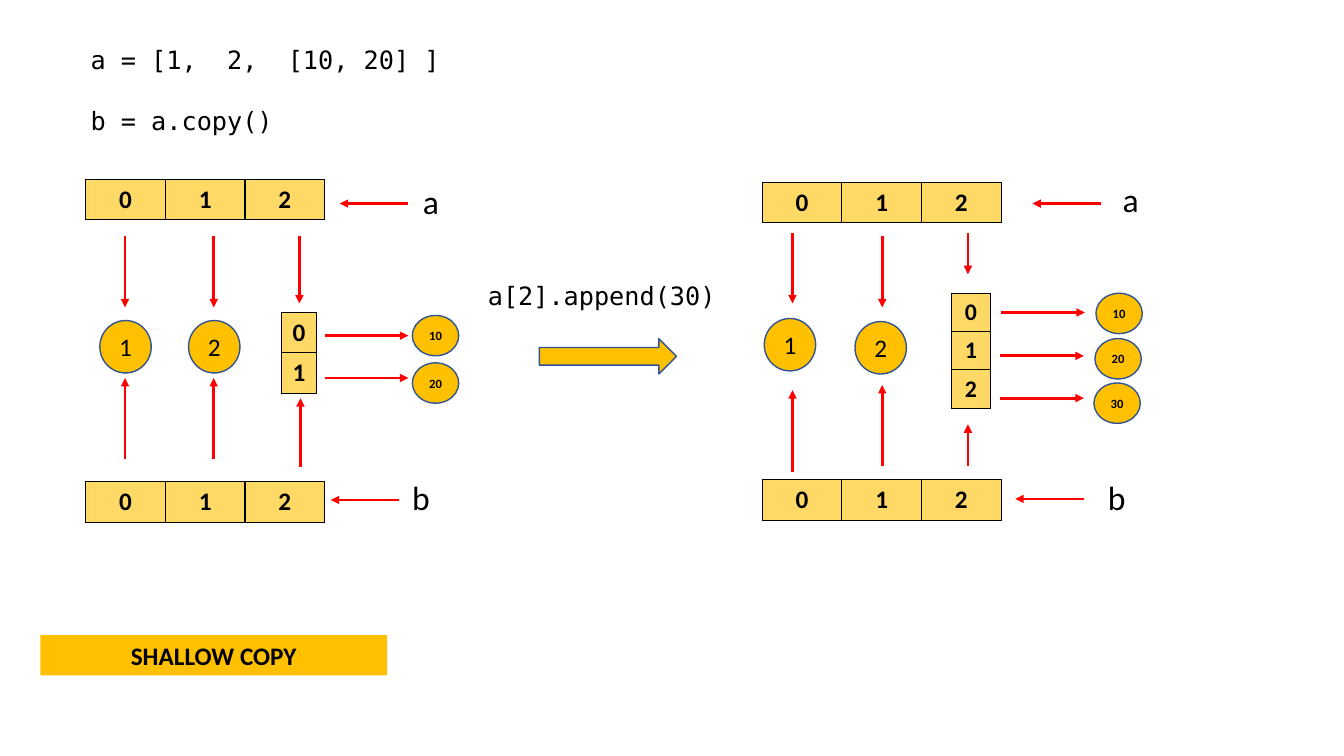
import lxml.etree
import pptx
import pptx.dml.color
import pptx.enum.shapes
import pptx.enum.text
import pptx.oxml.ns
import pptx.util

Inches = pptx.util.Inches
Pt = pptx.util.Pt
Shape = pptx.enum.shapes.MSO_SHAPE
Align = pptx.enum.text.PP_ALIGN
Anchor = pptx.enum.text.MSO_ANCHOR
qn = pptx.oxml.ns.qn

COLORS = {"text": "000000", "cell": "FFD966", "accent": "FFC000", "outline": "325491", "arrow": "FF0000"}


class CopyDiagram:
    """Draws lists, values and references on one slide in a shared style."""

    body_font = "Calibri"
    code_font = "DejaVu Sans Mono"

    def __init__(self, slide):
        self.slide = slide

    def color(self, name):
        return pptx.dml.color.RGBColor.from_string(COLORS[name])

    def fill_text(self, frame, lines, size, font=body_font, bold=False, align=Align.CENTER, gap=0):
        frame.text = "\n".join(lines)
        for index, paragraph in enumerate(frame.paragraphs):
            paragraph.alignment = align
            paragraph.space_before = Pt(gap if index else 0)
            paragraph.font.name = font
            paragraph.font.size = Pt(size)
            paragraph.font.bold = bold
            paragraph.font.color.rgb = self.color("text")

    def text(self, left, top, width, height, lines, size, **style):
        label = self.slide.shapes.add_textbox(Inches(left), Inches(top), Inches(width), Inches(height))
        label.text_frame.word_wrap = True
        self.fill_text(label.text_frame, lines, size, **style)

    def code(self, left, top, width, height, lines):
        self.text(left, top, width, height, lines, 18, font=self.code_font, align=Align.LEFT, gap=22)

    def shape(self, kind, left, top, width, height, caption="", size=18, bold=False, outlined=True):
        figure = self.slide.shapes.add_shape(kind, Inches(left), Inches(top), Inches(width), Inches(height))
        figure.shadow.inherit = False
        figure.fill.solid()
        figure.fill.fore_color.rgb = self.color("accent")
        if outlined:
            figure.line.color.rgb = self.color("outline")
            figure.line.width = Pt(1)
        else:
            figure.line.fill.background()
        if caption:
            frame = figure.text_frame
            frame.margin_left = frame.margin_right = 0
            frame.vertical_anchor = Anchor.MIDDLE
            self.fill_text(frame, [caption], size, bold=bold)

    def number(self, left, top, value):
        self.shape(Shape.OVAL, left, top, 0.51, 0.52, value)

    def nested_number(self, left, top, value):
        self.shape(Shape.OVAL, left, top, 0.46, 0.4, value, size=9, bold=True)

    def indices(self, left, top, rows, columns, cell_width, cell_height, size=18):
        grid = self.slide.shapes.add_table(
            rows, columns, Inches(left), Inches(top),
            Inches(cell_width * columns), Inches(cell_height * rows)).table
        grid.first_row = grid.horz_banding = False
        for column in grid.columns:
            column.width = Inches(cell_width)
        for row in grid.rows:
            row.height = Inches(cell_height)
        for index, cell in enumerate(grid.iter_cells()):
            cell.margin_left = cell.margin_right = Inches(0.05)
            cell.margin_top = cell.margin_bottom = Inches(0.04)
            cell.vertical_anchor = Anchor.MIDDLE
            cell.fill.solid()
            cell.fill.fore_color.rgb = self.color("cell")
            self.fill_text(cell.text_frame, [str(index)], size, bold=True)
            self.border(cell)

    def border(self, cell):
        properties = cell._tc.get_or_add_tcPr()
        for position, side in enumerate(("lnL", "lnR", "lnT", "lnB")):
            edge = lxml.etree.Element(qn("a:" + side), w=str(Pt(1)))
            fill = lxml.etree.SubElement(edge, qn("a:solidFill"))
            lxml.etree.SubElement(fill, qn("a:srgbClr"), val=COLORS["text"])
            properties.insert(position, edge)

    def arrow(self, x1, y1, x2, y2):
        reference = self.slide.shapes.add_connector(
            pptx.enum.shapes.MSO_CONNECTOR.STRAIGHT, Inches(x1), Inches(y1), Inches(x2), Inches(y2))
        reference.line.color.rgb = self.color("arrow")
        reference.line.width = Pt(2)
        lxml.etree.SubElement(reference.line._get_or_add_ln(), qn("a:tailEnd"), type="triangle")
        lxml.etree.SubElement(reference._element.spPr, qn("a:effectLst"))

    def named_list(self, left, top, name, name_left, name_top, arrow_left, arrow_y):
        self.indices(left, top, 1, 3, 0.79, 0.4)
        self.arrow(arrow_left + 0.68, arrow_y, arrow_left, arrow_y)
        self.text(name_left, name_top, 0.57, 0.5, [name], 24)


def main():
    presentation = pptx.Presentation()
    presentation.slide_width = Inches(13.33)
    presentation.slide_height = Inches(7.5)
    diagram = CopyDiagram(presentation.slides.add_slide(presentation.slide_layouts[6]))

    diagram.code(0.8, 0.39, 3.66, 1.01, ["a = [1,  2,  [10, 20] ]", "b = a.copy()"])
    diagram.code(4.74, 2.73, 3.01, 0.4, ["a[2].append(30)"])
    diagram.shape(Shape.RIGHT_ARROW, 5.35, 3.36, 1.36, 0.35)
    diagram.shape(Shape.RECTANGLE, 0.4, 6.3, 3.44, 0.4, "SHALLOW COPY", bold=True, outlined=False)

    for named_list in (
        (0.85, 1.78, "a", 3.99, 1.75, 3.37, 2.02),
        (0.85, 4.78, "b", 3.89, 4.68, 3.28, 4.96),
        (7.56, 1.81, "a", 10.93, 1.73, 10.24, 2.02),
        (7.56, 4.76, "b", 10.79, 4.68, 10.07, 4.95),
    ):
        diagram.named_list(*named_list)

    diagram.indices(2.79, 3.1, 2, 1, 0.35, 0.4)
    diagram.indices(9.44, 2.91, 3, 1, 0.38, 0.38, size=17)

    for left, top, value in ((0.99, 3.18, "1"), (1.87, 3.18, "2"), (7.58, 3.16, "1"), (8.48, 3.19, "2")):
        diagram.number(left, top, value)

    for left, top, value in (
        (4.09, 3.13, "10"), (4.09, 3.6, "20"),
        (10.87, 2.91, "10"), (10.86, 3.36, "20"), (10.85, 3.8, "30"),
    ):
        diagram.nested_number(left, top, value)

    for x, start, end in (
        (1.24, 2.34, 3.05), (2.12, 2.34, 3.05), (2.97, 2.34, 3.01),
        (1.24, 4.55, 3.75), (2.12, 4.55, 3.75), (2.98, 4.63, 3.95),
        (7.86, 2.31, 3.01), (8.75, 2.34, 3.05), (9.6, 2.31, 2.72),
        (7.86, 4.68, 3.87), (8.75, 4.62, 3.82), (9.6, 4.62, 4.21),
    ):
        diagram.arrow(x, start, x, end)

    for left, y in ((3.22, 3.33), (3.22, 3.75), (9.93, 3.1), (9.92, 3.53), (9.92, 3.95)):
        diagram.arrow(left, y, left + 0.83, y)

    presentation.save("out.pptx")


if __name__ == "__main__":
    main()
